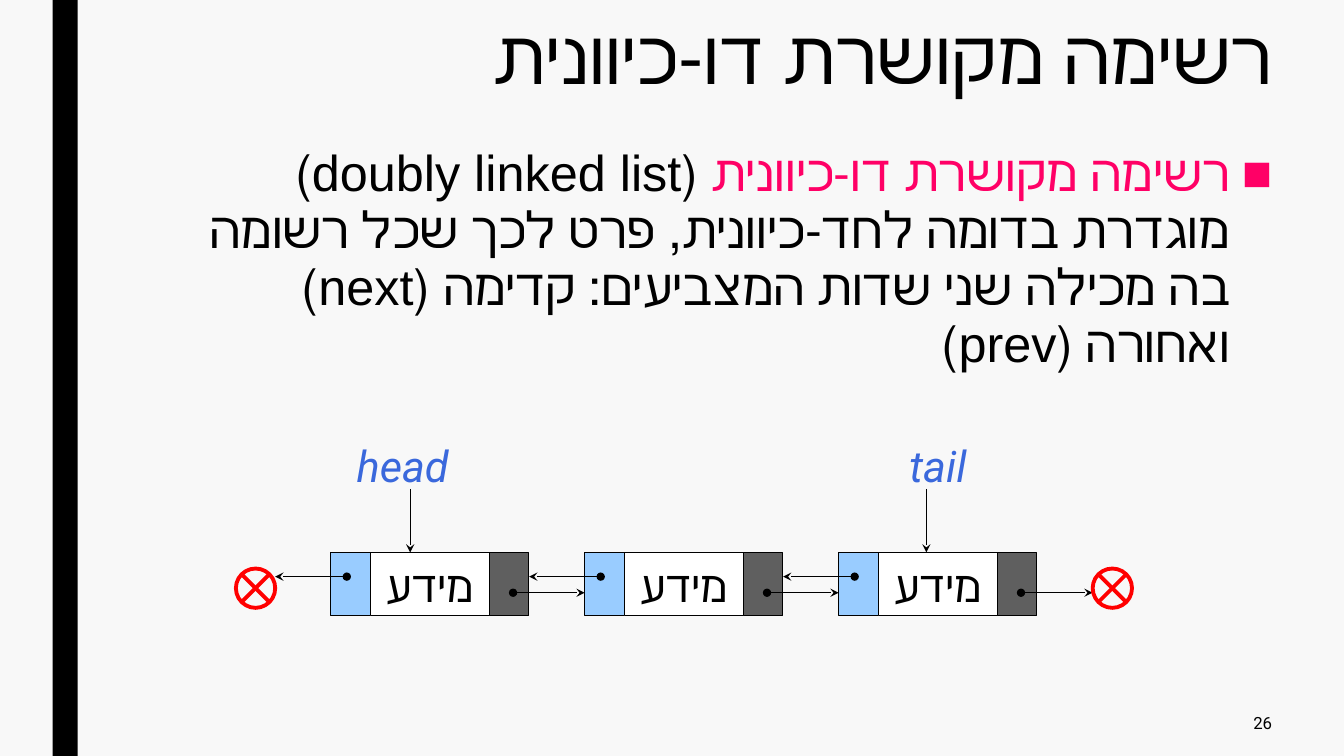
"""Build a slide that explains the doubly linked list."""
from dataclasses import dataclass

from lxml import etree
from pptx import Presentation
from pptx import util as u
from pptx.dml.color import RGBColor
from pptx.enum import shapes, text
from pptx.oxml.ns import qn
from pptx.shapes.autoshape import Shape
from pptx.slide import Slide

BLACK = RGBColor(0, 0, 0)
WHITE = RGBColor(255, 255, 255)
PAPER = RGBColor(0xF8, 0xF8, 0xF8)
PINK = RGBColor(0xFF, 0, 0x66)
RED = RGBColor(0xFF, 0, 0)
PREV_BLUE = RGBColor(0x99, 0xCC, 0xFF)
NEXT_GREY = RGBColor(0x5F, 0x5F, 0x5F)
LABEL_BLUE = RGBColor(0x3A, 0x68, 0xDC)

FIRST_NODE, NODE_PITCH, NODE_COUNT = 236.2, 181.4, 3
NODE_TOP, NODE_HEIGHT = 394.6, 45.4
LINK_WIDTH, DATA_WIDTH = 28.2, 85
POINTER_LENGTH = 51.1
PREV_START, PREV_DROP = 11.5, 17.3
NEXT_START, NEXT_DROP = 130.3, 28.8
NULL_SIZE, NULL_TOP = 28.1, 406.1


@dataclass(frozen=True)
class Box:
    """Position and size in points."""

    left: float
    top: float
    width: float
    height: float

    def lengths(self) -> list[u.Length]:
        """Return the four lengths in drawing order."""
        return [u.Pt(v) for v in (self.left, self.top, self.width, self.height)]


@dataclass(frozen=True)
class Style:
    """Look of a line of text."""

    size: float
    font: str = "Roboto"
    color: RGBColor = BLACK
    italic: bool = False
    align: text.PP_ALIGN = text.PP_ALIGN.LEFT
    anchor: text.MSO_ANCHOR = text.MSO_ANCHOR.BOTTOM
    spacing: float = 1.0
    rtl: bool = False


@dataclass(frozen=True)
class EndLabel:
    """Name of a list end, with the arrow to its node."""

    name: str
    left: float
    arrow_x: float
    align: text.PP_ALIGN


def add_words(slide: Slide, box: Box, words: str, style: Style) -> Shape:
    """Add a text box with one styled paragraph."""
    words_box = slide.shapes.add_textbox(*box.lengths())
    frame = words_box.text_frame
    frame.text = words
    frame.word_wrap = True
    frame.vertical_anchor = style.anchor
    paragraph = frame.paragraphs[0]
    paragraph.alignment = style.align
    paragraph.line_spacing = style.spacing
    if style.rtl:
        paragraph._p.get_or_add_pPr().set("rtl", "1")
    for run in paragraph.runs:
        run.font.name = style.font
        run.font.size = u.Pt(style.size)
        run.font.italic = style.italic
        run.font.color.rgb = style.color
    return words_box


def add_figure(slide: Slide, preset: shapes.MSO_SHAPE, box: Box,
               fill: RGBColor | None, line: RGBColor | None, weight: float = 0.75) -> None:
    """Add a preset shape with an optional fill and line."""
    figure = slide.shapes.add_shape(preset, *box.lengths())
    figure.shadow.inherit = False
    if fill is None:
        figure.fill.background()
    else:
        figure.fill.solid()
        figure.fill.fore_color.rgb = fill
    if line is None:
        figure.line.fill.background()
    else:
        figure.line.color.rgb = line
        figure.line.width = u.Pt(weight)


def add_arrow(slide: Slide, start: tuple[float, float], end: tuple[float, float],
              dotted_start: bool) -> None:
    """Add a stealth arrow, with a dot at its start if wanted."""
    arrow = slide.shapes.add_connector(
        shapes.MSO_CONNECTOR.STRAIGHT, *(u.Pt(v) for v in start + end))
    arrow.line.color.rgb = BLACK
    arrow.line.width = u.Pt(0.75)
    outline = arrow.line._get_or_add_ln()
    if dotted_start:
        etree.SubElement(outline, qn("a:headEnd"), type="oval")
    etree.SubElement(outline, qn("a:tailEnd"), type="stealth")
    etree.SubElement(arrow._element.spPr, qn("a:effectLst"))


def add_node(slide: Slide, left: float) -> None:
    """Add a record with its data and its two pointers."""
    data_left = left + LINK_WIDTH
    cells = ((left, LINK_WIDTH, PREV_BLUE), (data_left, DATA_WIDTH, WHITE),
             (data_left + DATA_WIDTH, LINK_WIDTH, NEXT_GREY))
    for cell_left, width, fill in cells:
        add_figure(slide, shapes.MSO_SHAPE.RECTANGLE,
                   Box(cell_left, NODE_TOP, width, NODE_HEIGHT), fill, BLACK)
    add_words(slide, Box(data_left, NODE_TOP, DATA_WIDTH, NODE_HEIGHT), "מידע",
              Style(31, align=text.PP_ALIGN.CENTER))
    for offset, drop, reach in ((PREV_START, PREV_DROP, -POINTER_LENGTH),
                                (NEXT_START, NEXT_DROP, POINTER_LENGTH)):
        x, y = left + offset, NODE_TOP + drop
        add_arrow(slide, (x, y), (x + reach, y), True)


def add_definition(slide: Slide) -> None:
    """Add the bulleted definition with its term highlighted."""
    definition = add_words(
        slide, Box(108, 100.8, 807.8, 390.2), "רשימה מקושרת דו-כיוונית",
        Style(36, "Arial", PINK, align=text.PP_ALIGN.RIGHT,
              anchor=text.MSO_ANCHOR.TOP, spacing=0.94, rtl=True))
    paragraph = definition.text_frame.paragraphs[0]
    paragraph.space_after = u.Pt(2)
    properties = paragraph._p.get_or_add_pPr()
    properties.set("marL", str(u.Pt(30.2)))
    properties.set("indent", str(-u.Pt(30.2)))
    bullet_color = etree.SubElement(properties, qn("a:buClr"))
    etree.SubElement(bullet_color, qn("a:srgbClr"), val=str(PINK))
    etree.SubElement(properties, qn("a:buFont"), typeface="Arial")
    etree.SubElement(properties, qn("a:buChar"), char="■")
    explanation = paragraph.add_run()
    explanation.text = (" (doubly linked list) מוגדרת בדומה לחד-כיוונית, פרט לכך שכל רשומה"
                        " בה מכילה שני שדות המצביעים: קדימה (next) ואחורה (prev)")
    explanation.font.name = "Arial"
    explanation.font.size = u.Pt(36)
    explanation.font.color.rgb = BLACK


def main() -> None:
    """Draw the slide and save it."""
    deck = Presentation()
    deck.slide_width, deck.slide_height = u.Pt(960), u.Pt(540)
    slide = deck.slides.add_slide(deck.slide_layouts[6])
    slide.background.fill.solid()
    slide.background.fill.fore_color.rgb = PAPER

    add_figure(slide, shapes.MSO_SHAPE.RECTANGLE, Box(37.5, 0, 18, 540), BLACK, None)
    add_words(slide, Box(108, 10.8, 807.8, 81.4), "רשימה מקושרת דו-כיוונית",
              Style(54, "Arial", align=text.PP_ALIGN.RIGHT,
                    anchor=text.MSO_ANCHOR.TOP, spacing=0.89, rtl=True))
    add_definition(slide)
    add_words(slide, Box(789.8, 500.4, 126, 31.7), "26",
              Style(12, align=text.PP_ALIGN.RIGHT, anchor=text.MSO_ANCHOR.MIDDLE))

    for position in range(NODE_COUNT):
        add_node(slide, FIRST_NODE + position * NODE_PITCH)
    for null_left in (168.5, 780.5):
        add_figure(slide, shapes.MSO_SHAPE.FLOWCHART_SUMMING_JUNCTION,
                   Box(null_left, NULL_TOP, NULL_SIZE, NULL_SIZE), None, RED, 2.75)
    for label in (EndLabel("head", 247.7, 293, text.PP_ALIGN.LEFT),
                  EndLabel("tail", 610.6, 661.7, text.PP_ALIGN.CENTER)):
        add_words(slide, Box(label.left, 309.6, 118.8, 44.6), label.name,
                  Style(31, color=LABEL_BLUE, italic=True, align=label.align))
        add_arrow(slide, (label.arrow_x, 349.2), (label.arrow_x, NODE_TOP), False)

    deck.save("out.pptx")


if __name__ == "__main__":
    main()
